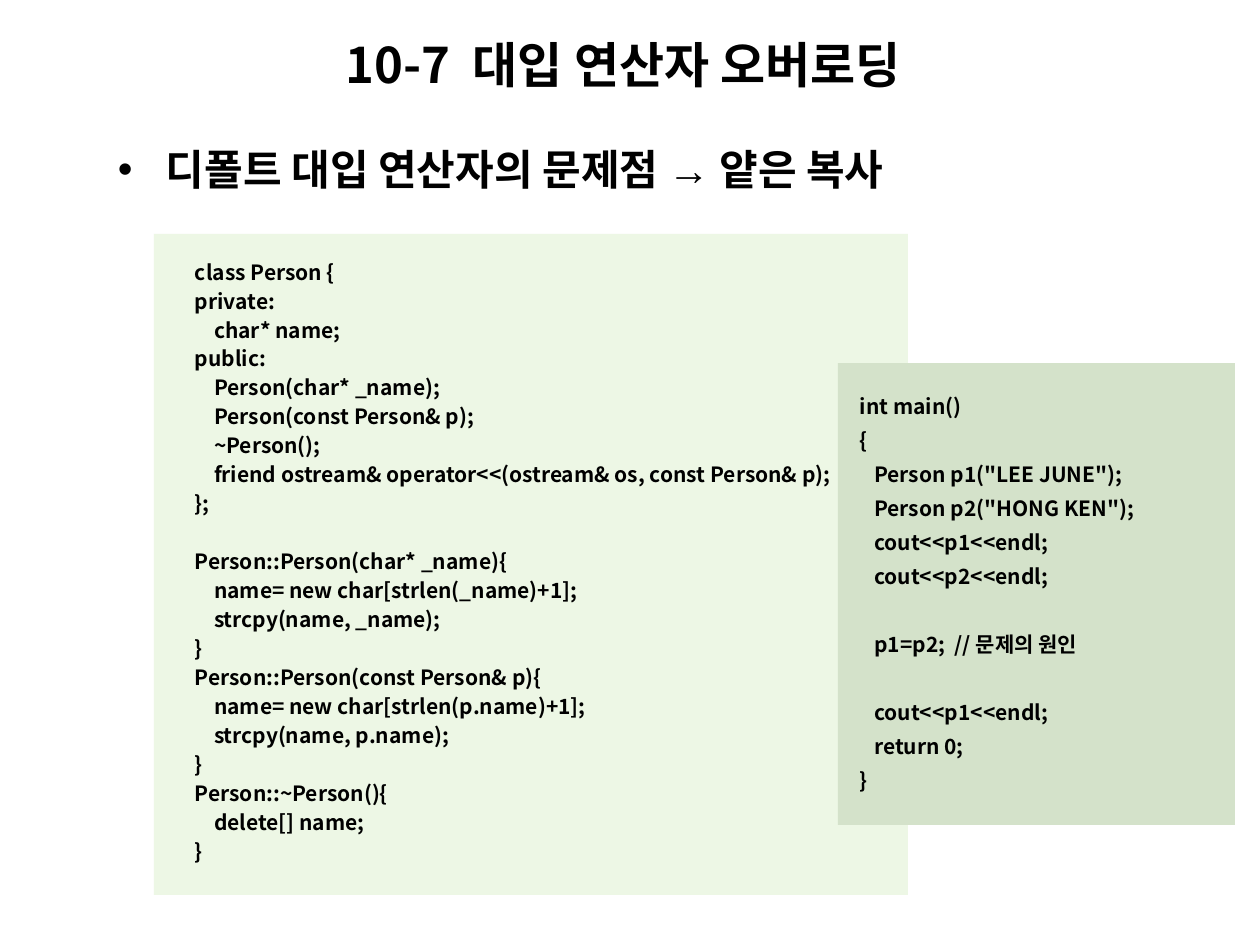
from lxml import etree
from pptx import Presentation
from pptx.dml.color import RGBColor
from pptx.enum.shapes import MSO_SHAPE
from pptx.enum.text import MSO_ANCHOR, PP_ALIGN
from pptx.oxml.ns import qn
from pptx.util import Pt

RECTANGLE = MSO_SHAPE.RECTANGLE
MIDDLE, TOP = MSO_ANCHOR.MIDDLE, MSO_ANCHOR.TOP
LEFT = PP_ALIGN.LEFT

BLACK = RGBColor(0x00, 0x00, 0x00)
PALE_GREEN = RGBColor(0xED, 0xF7, 0xE5)
SAGE = RGBColor(0xD4, 0xE2, 0xCA)
KOREAN_FONT = "Noto Sans CJK KR"
SYMBOL_FONT = "Arial"

PX_PER_INCH = 126
EMU_PER_PX = 914400 / PX_PER_INCH

CLASS_CODE = """class Person {
private:
    char* name;
public:
    Person(char* _name);
    Person(const Person& p);
    ~Person();
    friend ostream& operator<<(ostream& os, const Person& p);
};

Person::Person(char* _name){
    name= new char[strlen(_name)+1];
    strcpy(name, _name);
}
Person::Person(const Person& p){
    name= new char[strlen(p.name)+1];
    strcpy(name, p.name);
}
Person::~Person(){
    delete[] name;
}"""

MAIN_CODE = """int main()
{
   Person p1("LEE JUNE");
   Person p2("HONG KEN");
   cout<<p1<<endl;
   cout<<p2<<endl;

   p1=p2;  // 문제의 원인

   cout<<p1<<endl;
   return 0;
}"""


def px(length):
    return round(length * EMU_PER_PX)


def set_frame(frame, insets, anchor):
    frame.word_wrap = True
    frame.vertical_anchor = anchor
    (frame.margin_left, frame.margin_top,
     frame.margin_right, frame.margin_bottom) = map(px, insets)


def style_span(span, size, face=KOREAN_FONT):
    font = span.font
    font.size, font.bold, font.name = Pt(size), True, face
    font.color.rgb = BLACK
    east_asian = etree.Element(qn("a:ea"), typeface=face)
    font._element.find(qn("a:latin")).addnext(east_asian)


def add_text_box(page, box):
    return page.shapes.add_textbox(*map(px, box)).text_frame


def add_title(page, box):
    frame = add_text_box(page, box)
    set_frame(frame, (13, 6, 13, 6), MIDDLE)
    frame.text = "10-7  대입 연산자 오버로딩"
    style_span(frame.paragraphs[0].runs[0], 28)


def add_topic(page, box):
    frame = add_text_box(page, box)
    set_frame(frame, (13, 9, 13, 6), TOP)
    para = frame.paragraphs[0]

    # Hanging bullet
    properties = para._p.get_or_add_pPr()
    properties.set("marL", str(px(48)))
    properties.set("indent", str(-px(48)))
    etree.SubElement(properties, qn("a:buFont"), typeface=SYMBOL_FONT)
    etree.SubElement(properties, qn("a:buChar"), char="•")

    for text, face in (("디폴트 대입 연산자의 문제점 ", KOREAN_FONT),
                       ("→", SYMBOL_FONT),
                       (" 얕은 복사", KOREAN_FONT)):
        span = para.add_run()
        span.text = text
        style_span(span, 24, face)


def add_code_panel(page, box, code, fill, left_inset, line_height):
    panel = page.shapes.add_shape(RECTANGLE, *map(px, box))
    panel.shadow.inherit = False
    panel.fill.solid()
    panel.fill.fore_color.rgb = fill
    panel.line.fill.background()

    frame = panel.text_frame
    set_frame(frame, (left_inset, 16, 13, 26), MIDDLE)
    frame.text = code
    for para in frame.paragraphs:
        para.alignment = LEFT
        para.line_spacing = Pt(line_height)
        para.font.size = Pt(12)
        for span in para.runs:
            style_span(span, 12)


def main():
    deck = Presentation()
    deck.slide_width, deck.slide_height = px(1260), px(945)
    page = deck.slides.add_slide(deck.slide_layouts[6])

    add_topic(page, (105, 135, 932, 73))
    # Class definition, partly covered by the main program
    add_code_panel(page, (154, 234, 754, 661), CLASS_CODE, PALE_GREEN, 41, 16.56)
    add_code_panel(page, (838, 363, 397, 462), MAIN_CODE, SAGE, 22, 19.44)
    add_title(page, (333, 28, 833, 72))

    deck.save("out.pptx")


if __name__ == "__main__":
    main()
